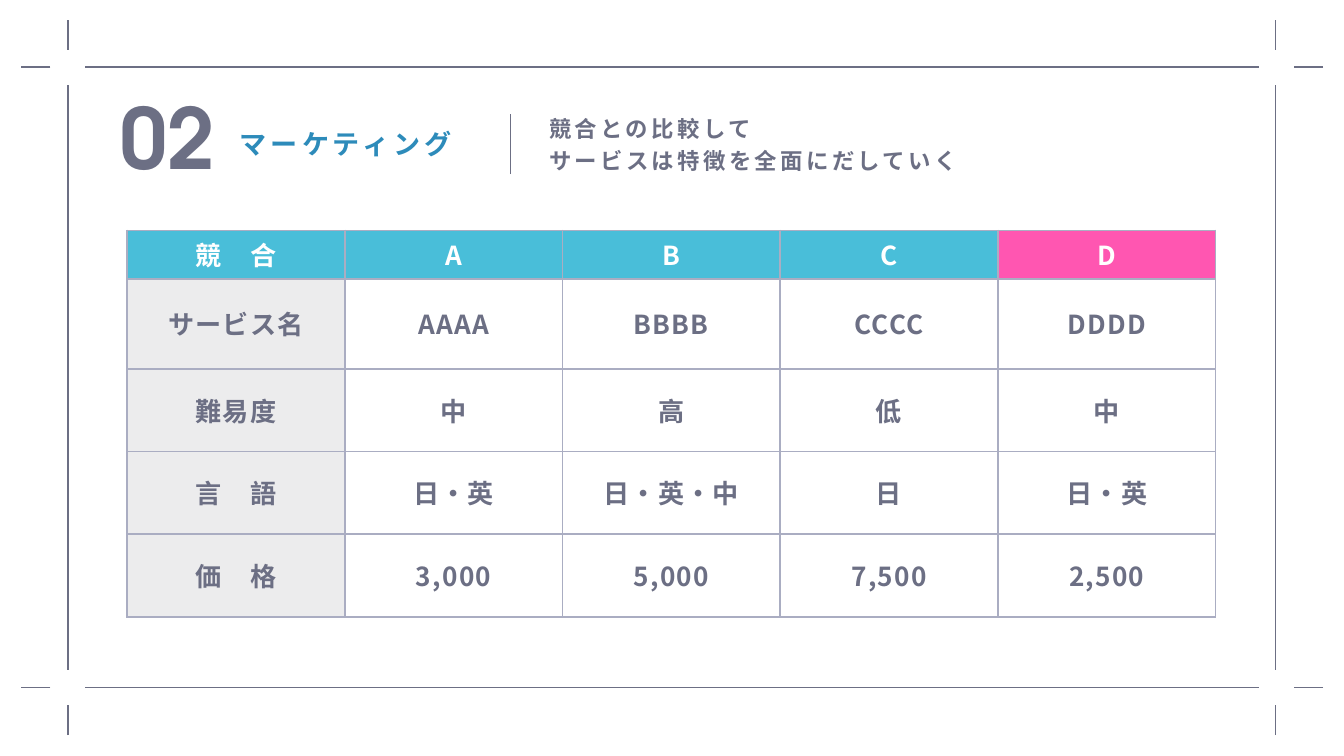
from pptx import Presentation
from pptx.dml.color import RGBColor
from pptx.enum.shapes import MSO_CONNECTOR
from pptx.enum.text import MSO_ANCHOR, MSO_AUTO_SIZE, PP_ALIGN
from pptx.oxml import parse_xml
from pptx.oxml.ns import nsdecls
from pptx.util import Inches, Pt

GRAY, SANS = "6C6F84", "Noto Sans CJK JP"


def tint(code):
    return RGBColor.from_string(code)


def write(para, text, size, color, lead, gap=0, face=SANS):
    para.line_spacing = Pt(lead)
    run = para.add_run()
    run.text = text
    font = run.font
    font.size, font.bold, font.name = Pt(size), True, face
    font.color.rgb = tint(color)
    props = run._r.get_or_add_rPr()
    props.set("spc", str(round(gap * 100)))
    props.append(parse_xml(f'<a:ea {nsdecls("a")} typeface="{face}"/>'))


deck = Presentation()
deck.slide_width, deck.slide_height = Inches(20), Inches(11.25)
slide = deck.slides.add_slide(deck.slide_layouts[6])

lines = [(7.6, 2.59, 7.6, 1.7)]
for x in (1.01, 18.98):
    for low, high in ((9.97, 1.26), (0.74, 0.3), (10.94, 10.49)):
        lines.append((x, low, x, high))
for y in (1, 10.23):
    for right, left in ((18.73, 1.27), (0.75, 0.31), (19.69, 19.25)):
        lines.append((right, y, left, y))
for ends in lines:
    line = slide.shapes.add_connector(MSO_CONNECTOR.STRAIGHT, *map(Inches, ends))
    line.line.color.rgb = tint(GRAY)
    line.line.width = Pt(1.5)
    line._element.spPr.append(parse_xml(f'<a:effectLst {nsdecls("a")}/>'))

rows = [
    ["競　合", "A", "B", "C", "D"],
    ["サービス名", "AAAA", "BBBB", "CCCC", "DDDD"],
    ["難易度", "中", "高", "低", "中"],
    ["言　語", "日・英", "日・英・中", "日", "日・英"],
    ["価　格", "3,000", "5,000", "7,500", "2,500"],
]
highs = [0.72, 1.34, 1.23, 1.23, 1.23]
frame = slide.shapes.add_table(
    5, 5, Inches(1.89), Inches(3.43), Inches(16.19), Inches(sum(highs)))
table = frame.table
table.first_row = table.horz_banding = False
for col in table.columns:
    col.width = Inches(3.24)
for r, (row, high) in enumerate(zip(rows, highs)):
    table.rows[r].height = Inches(high)
    for c, text in enumerate(row):
        cell = table.cell(r, c)
        cell.margin_left = cell.margin_right = Inches(0.02)
        cell.margin_top = cell.margin_bottom = Inches(0.02)
        cell.vertical_anchor = MSO_ANCHOR.MIDDLE
        if r and c:
            cell.fill.background()
        else:
            cell.fill.solid()
            head = "FF56B1" if c == 4 else "49BED9"
            cell.fill.fore_color.rgb = tint("ECECED" if r else head)
        for i, side in enumerate("LRTB"):
            cell._tc.tcPr.insert(i, parse_xml(
                f'<a:ln{side} {nsdecls("a")} w="{Pt(2.25)}"><a:solidFill>'
                f'<a:srgbClr val="AAADC2"/></a:solidFill></a:ln{side}>'))
        para = cell.text_frame.paragraphs[0]
        para.alignment = PP_ALIGN.CENTER
        write(para, text, 28, GRAY if r else "FFFFFF", 39.2, 1.4)

texts = [
    ((3.57, 1.73, 3.49, 0.6), ["マーケティング"], (29, "2D8BBA", 46.4, 4.3)),
    ((8.17, 1.65, 9.9, 0.9), ["競合との比較して", "サービスは特徴を全面にだしていく"],
     (24, GRAY, 33.6, 3.6)),
    ((1.79, 1.02, 1.78, 1.88), ["02"], (90, GRAY, 126, 0, "TeX Gyre Adventor")),
]
for place, words, look in texts:
    body = slide.shapes.add_textbox(*map(Inches, place)).text_frame
    body.word_wrap = True
    body.auto_size = MSO_AUTO_SIZE.SHAPE_TO_FIT_TEXT
    body.margin_left = body.margin_right = body.margin_top = body.margin_bottom = 0
    for i, text in enumerate(words):
        para = body.add_paragraph() if i else body.paragraphs[0]
        write(para, text, *look)

deck.save("out.pptx")
